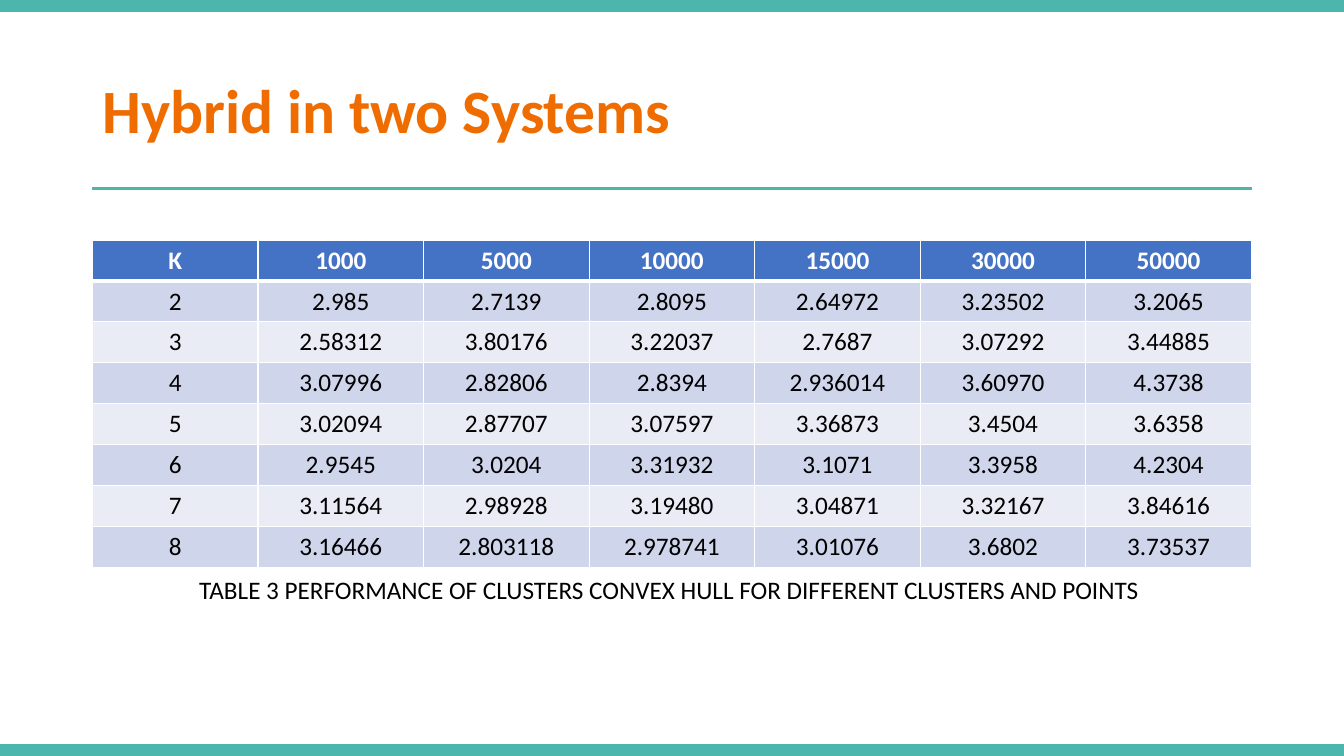
from dataclasses import dataclass

from lxml.etree import SubElement
from pptx import Presentation
from pptx.dml.color import RGBColor
from pptx.enum.shapes import MSO_CONNECTOR, MSO_SHAPE
from pptx.enum.text import MSO_ANCHOR, PP_ALIGN
from pptx.oxml.ns import qn
from pptx.util import Cm, Pt


@dataclass(frozen=True)
class Theme:
    font: str = "Calibri"
    teal: str = "4DB6AC"
    orange: str = "EF6C00"
    black: str = "000000"
    white: str = "FFFFFF"
    head: str = "4472C4"
    bands: tuple = ("CFD5EA", "E9EBF5")
    title: int = 44
    body: int = 18


class Deck:
    def __init__(self, theme, slide):
        self.theme = theme
        self.shapes = slide.shapes

    def text(self, frame, words, color, size, bold=False, align=PP_ALIGN.CENTER):
        para = frame.paragraphs[0]
        para.alignment = align
        run = para.add_run()
        run.text = words
        style = {"name": self.theme.font, "size": Pt(size), "bold": bold}
        for key, value in style.items():
            setattr(run.font, key, value)
        run.font.color.rgb = RGBColor.from_string(color)
        return para

    def label(self, box, words, color, size, anchor=MSO_ANCHOR.TOP, **style):
        frame = self.shapes.add_textbox(*map(Cm, box)).text_frame
        frame.word_wrap = True
        frame.vertical_anchor = anchor
        return self.text(frame, words, color, size, **style)

    def bar(self, box, color):
        shape = self.shapes.add_shape(MSO_SHAPE.RECTANGLE, *map(Cm, box))
        shape.shadow.inherit = False
        shape.fill.solid()
        shape.fill.fore_color.rgb = RGBColor.from_string(color)
        shape.line.fill.background()

    def rule(self, left, top, width, color):
        ends = map(Cm, (left + width, top, left, top))
        line = self.shapes.add_connector(MSO_CONNECTOR.STRAIGHT, *ends)
        line.line.color.rgb = RGBColor.from_string(color)
        line.line.width = Pt(1.5)
        SubElement(line._element.spPr, qn("a:effectLst"))

    def edge(self, cell, widths):
        props = cell._tc.get_or_add_tcPr()
        for side, width in widths.items():
            line = SubElement(props, qn(f"a:ln{side}"), w=str(Pt(width)))
            fill = SubElement(line, qn("a:solidFill"))
            SubElement(fill, qn("a:srgbClr"), val=self.theme.white)

    def table(self, box, rows):
        theme = self.theme
        size = len(rows), len(rows[0])
        grid = self.shapes.add_table(*size, *map(Cm, box)).table
        for r, row in enumerate(rows):
            top = r == 0
            back = theme.head if top else theme.bands[(r - 1) % 2]
            ink = theme.white if top else theme.black
            # The divider under the header is thicker
            widths = {"L": 1, "R": 1, "T": 3 if r == 1 else 1, "B": 3 if top else 1}
            for c, words in enumerate(row):
                cell = grid.cell(r, c)
                self.edge(cell, widths)
                cell.fill.solid()
                cell.fill.fore_color.rgb = RGBColor.from_string(back)
                self.text(cell.text_frame, words, ink, theme.body, bold=top)


WIDTH, HEIGHT = 33.87, 19.05
LEFT, SPAN = 2.33, 29.21
BAR = 0.3
ROW = 1.03

TIMES = """
K 1000 5000 10000 15000 30000 50000
2 2.985 2.7139 2.8095 2.64972 3.23502 3.2065
3 2.58312 3.80176 3.22037 2.7687 3.07292 3.44885
4 3.07996 2.82806 2.8394 2.936014 3.60970 4.3738
5 3.02094 2.87707 3.07597 3.36873 3.4504 3.6358
6 2.9545 3.0204 3.31932 3.1071 3.3958 4.2304
7 3.11564 2.98928 3.19480 3.04871 3.32167 3.84616
8 3.16466 2.803118 2.978741 3.01076 3.6802 3.73537
"""


def main():
    show = Presentation()
    show.slide_width, show.slide_height = Cm(WIDTH), Cm(HEIGHT)
    theme = Theme()
    deck = Deck(theme, show.slides.add_slide(show.slide_layouts[6]))

    # Title
    title = deck.label((LEFT, 1.01, SPAN, 3.68), "Hybrid in two Systems",
                       theme.orange, theme.title, anchor=MSO_ANCHOR.MIDDLE,
                       bold=True, align=PP_ALIGN.LEFT)
    title.line_spacing = 0.9

    # Edge bars and title rule
    for top in (HEIGHT - BAR, 0):
        deck.bar((0, top, WIDTH, BAR), theme.teal)
    deck.rule(LEFT, 4.75, SPAN, theme.teal)

    # Results table and caption
    rows = [line.split() for line in TIMES.strip().splitlines()]
    deck.table((LEFT, 6.05, SPAN, ROW * len(rows)), rows)
    deck.label((LEFT, 14.35, SPAN, ROW),
               "TABLE 3 PERFORMANCE OF CLUSTERS CONVEX HULL FOR DIFFERENT "
               "CLUSTERS AND POINTS ", theme.black, theme.body)

    show.save("out.pptx")


if __name__ == "__main__":
    main()
